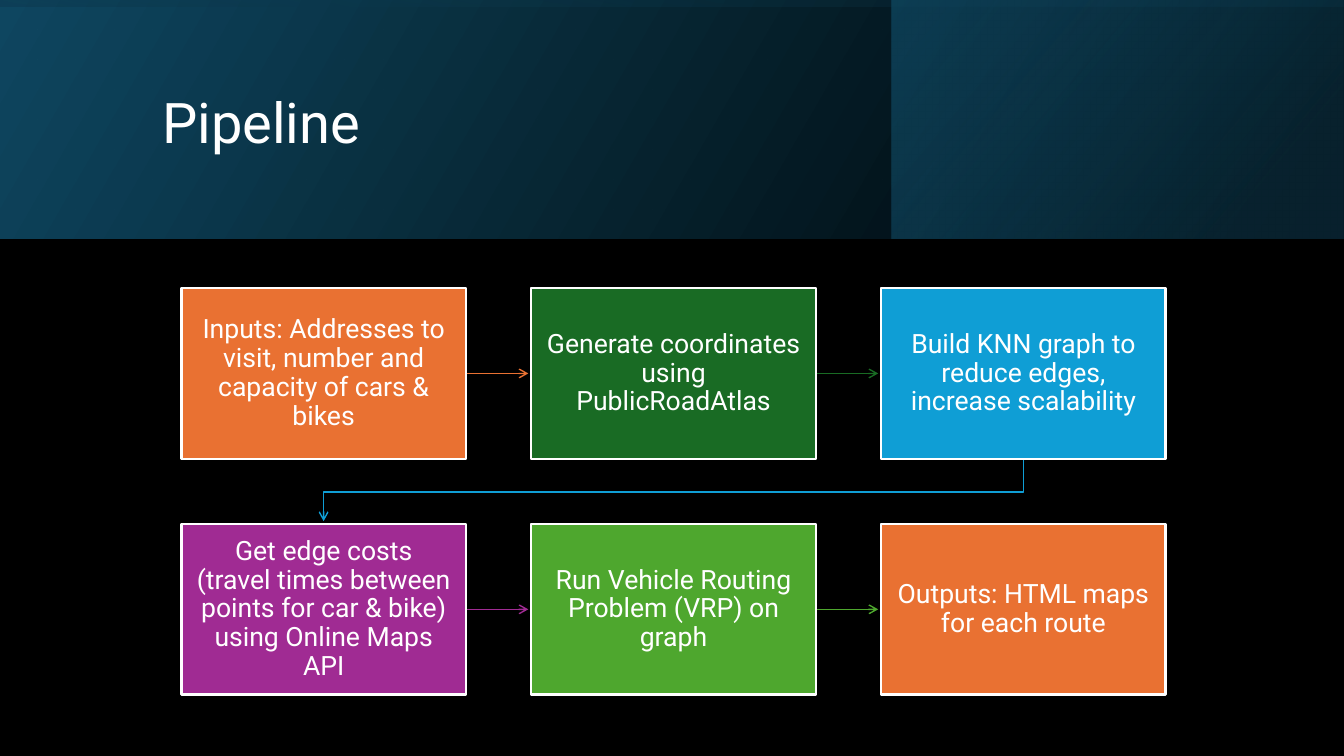
from lxml.etree import SubElement
from pptx import Presentation
from pptx.dml.color import RGBColor
from pptx.enum.shapes import MSO_CONNECTOR, MSO_SHAPE
from pptx.enum.text import MSO_ANCHOR, PP_ALIGN
from pptx.oxml import parse_xml
from pptx.oxml.ns import nsdecls, qn
from pptx.util import Inches, Pt

COLORS = {
    "black": "000000", "white": "FFFFFF", "navy": "104862", "deep": "0B3041",
    "teal": "156082", "orange": "E97132", "green": "196B24", "blue": "0F9ED5",
    "purple": "A02B93", "lime": "4EA72E",
}
STEPS = [
    ("Inputs: Addresses to visit, number and capacity of cars & bikes", "orange"),
    ("Generate coordinates using PublicRoadAtlas", "green"),
    ("Build KNN graph to reduce edges, increase scalability", "blue"),
    ("Get edge costs (travel times between points for car & bike) "
     "using Online Maps API", "purple"),
    ("Run Vehicle Routing Problem (VRP) on graph", "lime"),
    ("Outputs: HTML maps for each route", "orange"),
]
COLUMNS = 3
STEP_WIDTH, STEP_HEIGHT = 2.82, 1.69
ARROW_GAP = 0.03


def rgb(name):
    return RGBColor.from_string(COLORS[name])


def write_text(shape, text, size, alignment, insets):
    frame = shape.text_frame
    frame.word_wrap = True
    frame.vertical_anchor = MSO_ANCHOR.MIDDLE
    frame.margin_left = frame.margin_right = Inches(insets[0])
    frame.margin_top = frame.margin_bottom = Inches(insets[1])
    paragraph = frame.paragraphs[0]
    paragraph.alignment = alignment
    paragraph.line_spacing = 0.9
    run = paragraph.add_run()
    run.text = text
    run.font.size = Pt(size)
    run.font.name = "Roboto"
    run.font.color.rgb = rgb("white")


def add_gradient_panel(slide, box, stops, angle, rotation=0):
    """Add a mirrored rectangle; stops are (position, color, opacity) in percent."""
    shape = slide.shapes.add_shape(MSO_SHAPE.RECTANGLE, *map(Inches, box))
    shape.shadow.inherit = False
    shape.line.fill.background()
    shape.rotation = rotation
    properties = shape._element.spPr
    properties.find(qn("a:xfrm")).set("flipH", "1")
    stop_xml = "".join(
        f'<a:gs pos="{position * 1000}"><a:srgbClr val="{COLORS[color]}">'
        f'<a:alpha val="{opacity * 1000}"/></a:srgbClr></a:gs>'
        for position, color, opacity in stops)
    gradient = parse_xml(
        f'<a:gradFill {nsdecls("a")} rotWithShape="1"><a:gsLst>{stop_xml}</a:gsLst>'
        f'<a:lin ang="{angle * 60000}" scaled="0"/></a:gradFill>')
    properties.find(qn("a:prstGeom")).addnext(gradient)


def add_header(slide, left, top, width, height):
    # Layered gradient band
    add_gradient_panel(slide, (left, top, width, height),
                       [(0, "black", 96), (100, "navy", 100)], 330)
    add_gradient_panel(slide, (left + 8.84, top, 4.48, height),
                       [(19, "deep", 68), (100, "teal", 48)], 320)
    offset = (width - height) / 2
    add_gradient_panel(slide, (left + offset, top - offset, height, width),
                       [(23, "navy", 16), (99, "black", 45)], 350, 270)
    # Title
    title = slide.shapes.add_textbox(Inches(left + 1.51), Inches(top + 0.38),
                                     Inches(10.63), Inches(1.72))
    write_text(title, "Pipeline", 40, PP_ALIGN.LEFT, (0.1, 0.05))


def style_arrow(arrow, color):
    arrow.line.color.rgb = rgb(color)
    arrow.line.width = Pt(1)
    SubElement(arrow.line._get_or_add_ln(), qn("a:tailEnd"), type="arrow")


def add_straight_arrow(slide, start, end, y, color):
    arrow = slide.shapes.add_connector(MSO_CONNECTOR.STRAIGHT, Inches(start),
                                       Inches(y), Inches(end), Inches(y))
    style_arrow(arrow, color)
    SubElement(arrow._element.spPr, qn("a:effectLst"))


def add_wrap_arrow(slide, start, end, color):
    """Lead from the end of one row down to the start of the next."""
    middle = start[1] + 0.33
    points = [(start[0], middle), (end[0], middle), end]
    builder = slide.shapes.build_freeform(Inches(start[0]), Inches(start[1]))
    builder.add_line_segments([(Inches(x), Inches(y)) for x, y in points],
                              close=False)
    arrow = builder.convert_to_shape()
    arrow.shadow.inherit = False
    arrow.fill.background()
    style_arrow(arrow, color)


def add_step(slide, left, top, text, color):
    shape = slide.shapes.add_shape(
        MSO_SHAPE.RECTANGLE, Inches(left), Inches(top),
        Inches(STEP_WIDTH), Inches(STEP_HEIGHT))
    shape.shadow.inherit = False
    shape.fill.solid()
    shape.fill.fore_color.rgb = rgb(color)
    shape.line.color.rgb = rgb("white")
    shape.line.width = Pt(1.5)
    write_text(shape, text, 19, PP_ALIGN.CENTER, (0.14, 0.15))


def add_pipeline(slide, left, top, width, height):
    column_pitch = (width - STEP_WIDTH) / (COLUMNS - 1)
    row_pitch = height - STEP_HEIGHT
    for index, (text, color) in enumerate(STEPS):
        row, column = divmod(index, COLUMNS)
        x, y = left + column * column_pitch, top + row * row_pitch
        # Arrow to the next step, then the step itself
        if column < COLUMNS - 1:
            add_straight_arrow(slide, x + STEP_WIDTH, x + column_pitch - ARROW_GAP,
                               y + STEP_HEIGHT / 2, color)
        elif index < len(STEPS) - 1:
            add_wrap_arrow(slide, (x + STEP_WIDTH / 2, y + STEP_HEIGHT),
                           (left + STEP_WIDTH / 2, y + row_pitch - ARROW_GAP), color)
        add_step(slide, x, y, text, color)


def main():
    presentation = Presentation()
    presentation.slide_width = Inches(13.33)
    presentation.slide_height = Inches(7.5)
    slide = presentation.slides.add_slide(presentation.slide_layouts[6])
    slide.background.fill.solid()
    slide.background.fill.fore_color.rgb = rgb("black")
    add_header(slide, 0, 0, 13.33, 2.37)
    add_pipeline(slide, 1.8, 2.86, 9.76, 4.03)
    presentation.save("out.pptx")


if __name__ == "__main__":
    main()
